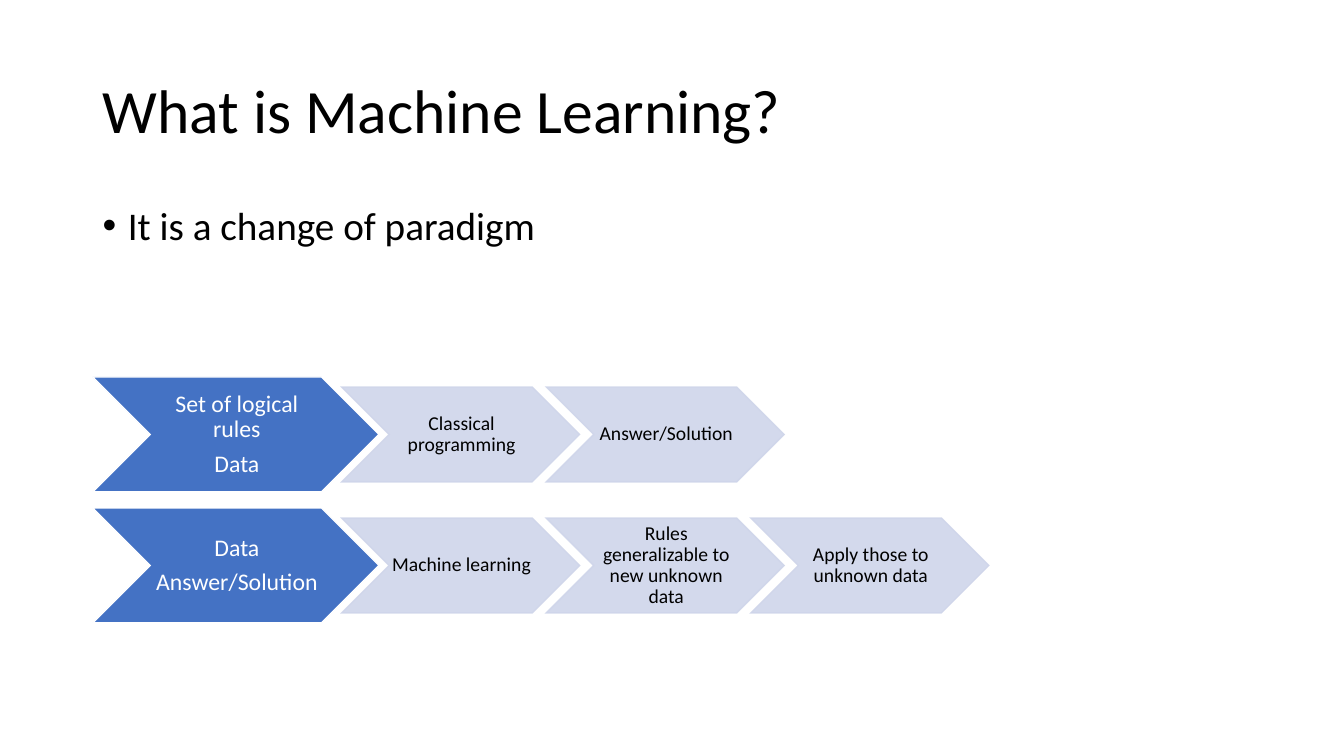
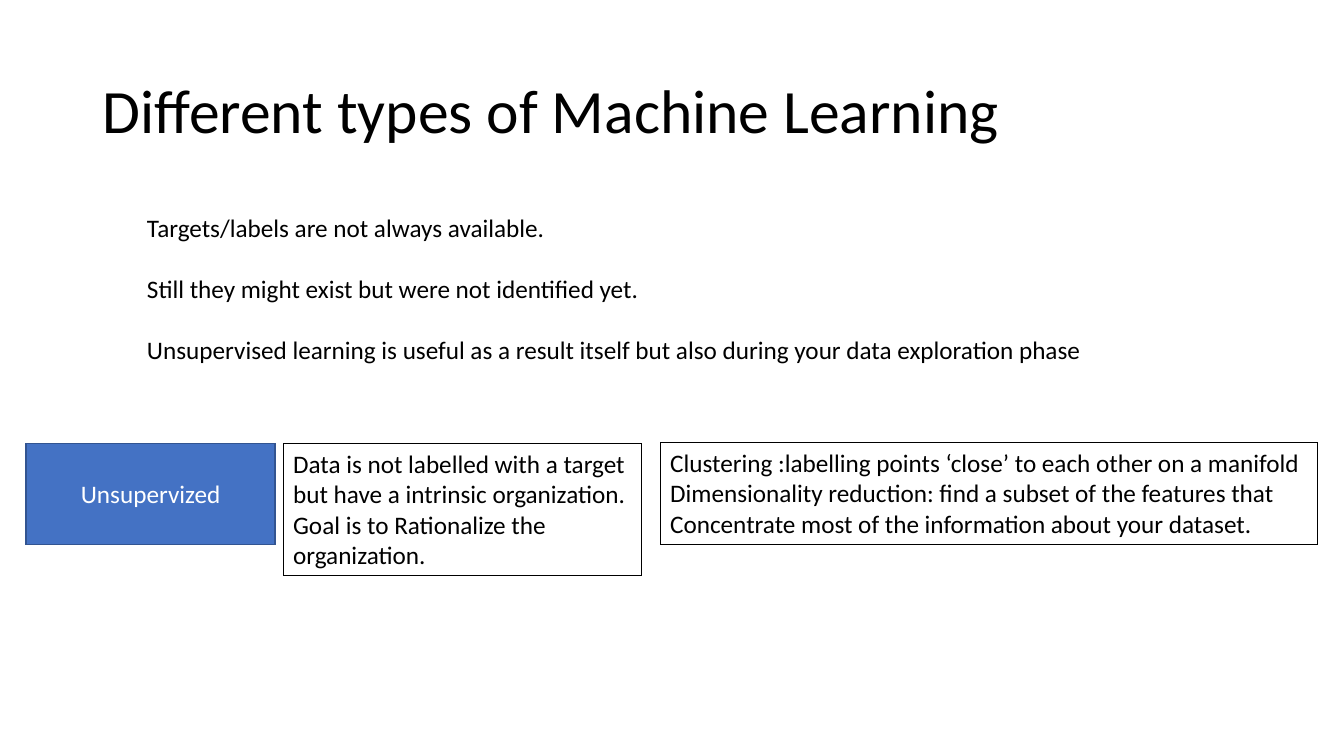
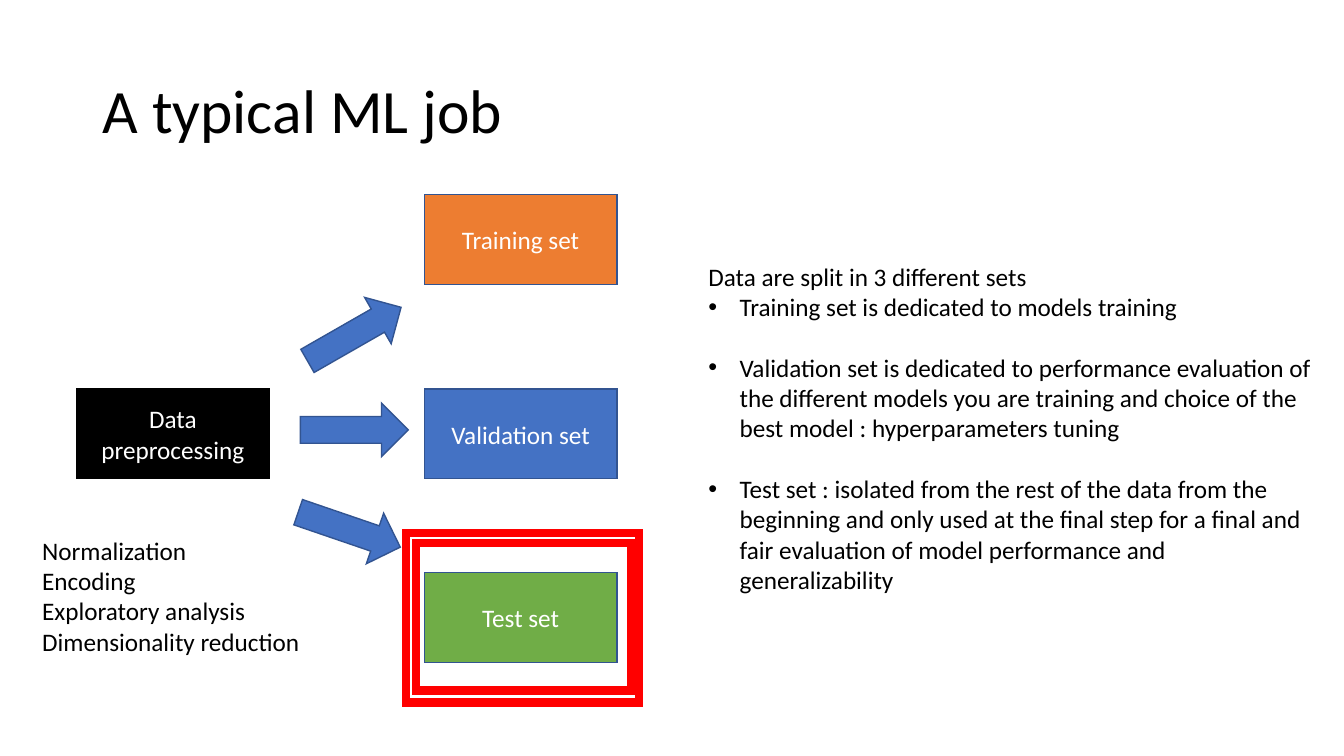
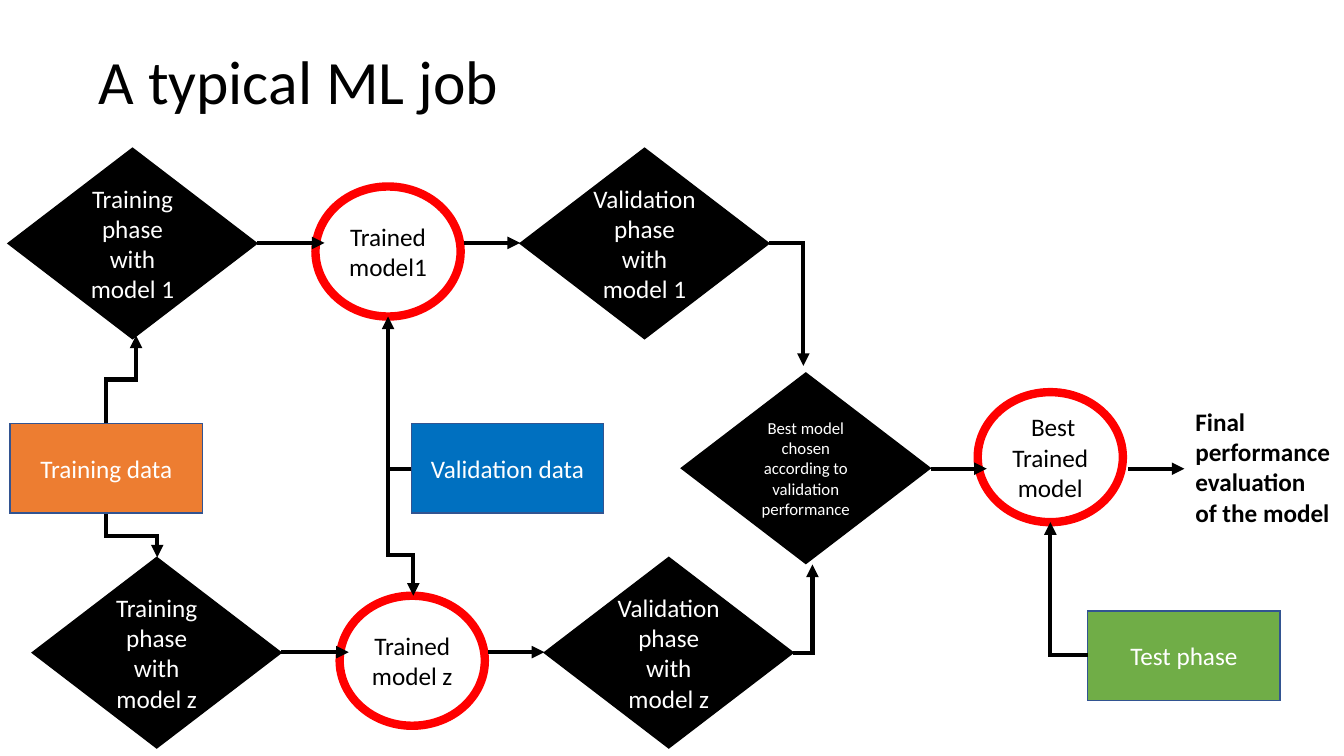
"""Build four slides that introduce machine learning and a typical workflow."""
from dataclasses import dataclass
from typing import Any, Optional

from lxml import etree
from pptx import Presentation
from pptx.dml.color import RGBColor
from pptx.enum.shapes import MSO_CONNECTOR, MSO_SHAPE
from pptx.enum.text import MSO_ANCHOR, PP_ALIGN
from pptx.oxml.ns import qn
from pptx.slide import Slide
from pptx.util import Emu, Pt

STRAIGHT, ELBOW = MSO_CONNECTOR.STRAIGHT, MSO_CONNECTOR.ELBOW
RECTANGLE = MSO_SHAPE.RECTANGLE
CHEVRON = MSO_SHAPE.CHEVRON
DIAMOND = MSO_SHAPE.DIAMOND
ELLIPSE = MSO_SHAPE.OVAL
ARROW = MSO_SHAPE.RIGHT_ARROW
LEFT, CENTER = PP_ALIGN.LEFT, PP_ALIGN.CENTER
TOP, MIDDLE = MSO_ANCHOR.TOP, MSO_ANCHOR.MIDDLE
SIDE_TOP, SIDE_LEFT, SIDE_BOTTOM, SIDE_RIGHT = 0, 1, 2, 3
ELLIPSE_BOTTOM = 4
EMU_PER_PX = 9144


@dataclass(frozen=True)
class Theme:
    """Colours, font and type sizes that the slides share."""
    font: str = "Calibri"
    black: str = "000000"
    white: str = "FFFFFF"
    blue: str = "4472C4"
    outline: str = "325491"
    pale: str = "CFD5EA"
    orange: str = "ED7D31"
    green: str = "70AD47"
    bright_blue: str = "0070C0"
    red: str = "FF0000"
    title: int = 44
    bullet: int = 28
    lead: int = 17
    step: int = 14
    body: int = 18
    small: int = 12
    blank_line: float = 21.9


THEME = Theme()


@dataclass(frozen=True)
class Box:
    """A place on the slide in px."""
    left: int
    top: int
    width: int
    height: int

    def emu(self) -> tuple[Emu, ...]:
        """Return left, top, width and height in EMU."""
        return tuple(px(n) for n in (self.left, self.top, self.width, self.height))


@dataclass(frozen=True)
class Node:
    """A labelled shape of a diagram."""
    text: str
    box: Box
    fill: str
    kind: Any = RECTANGLE
    line: str = THEME.outline
    weight: float = 1
    color: str = THEME.white
    size: int = THEME.body


@dataclass(frozen=True)
class Elbow:
    """A bent arrow from the side of one node, perhaps to the side of another."""
    begin: tuple[int, int]
    end: tuple[int, int]
    start: str
    side: int
    target: Optional[str] = None
    target_side: int = SIDE_TOP
    preset: str = "bentConnector2"
    rotation: int = 0
    flip: str = ""
    adjust: tuple[int, ...] = ()


TITLE_BOX = Box(92, 40, 1150, 145)


def px(length: int) -> Emu:
    """Turn px into EMU."""
    return Emu(length * EMU_PER_PX)


def rgb(color: str) -> RGBColor:
    """Turn a hex string into a colour."""
    return RGBColor.from_string(color)


def write(shape: Any, text: str, *, size: float = THEME.body, color: str = THEME.black,
          bold: bool = False, align: Any = LEFT, spacing: float = 1.0, before: float = 0,
          after: float = 0, indent: int = 0) -> None:
    """Add each line of the text as a paragraph, with a bullet if indented."""
    frame = shape.text_frame
    for line in text.split("\n"):
        para = frame.add_paragraph() if frame.text else frame.paragraphs[0]
        para.alignment = align
        para.line_spacing = spacing
        para.space_before, para.space_after = Pt(before), Pt(after)
        if indent:
            properties = para._p.get_or_add_pPr()
            properties.set("marL", str(px(indent)))
            properties.set("indent", str(px(-indent)))
            etree.SubElement(properties, qn("a:buFont"), typeface="Arial")
            etree.SubElement(properties, qn("a:buChar"), char="•")
        span = para.add_run()
        span.text = line
        span.font.name, span.font.size, span.font.bold = THEME.font, Pt(size), bold
        span.font.color.rgb = rgb(color)


def add_text_box(page: Slide, box: Box, *, anchor: Any = TOP, wrap: bool = True) -> Any:
    """Add an empty text box."""
    shape = page.shapes.add_textbox(*box.emu())
    shape.text_frame.word_wrap = wrap
    shape.text_frame.vertical_anchor = anchor
    return shape


def add_shape(page: Slide, kind: Any, box: Box, *, fill: Optional[str] = None,
              line: str = THEME.outline, weight: float = 1, anchor: Any = MIDDLE,
              wrap: bool = True, rotation: float = 0, opacity: int = 100) -> Any:
    """Add a preset shape with sharp corners and no shadow."""
    shape = page.shapes.add_shape(kind, *box.emu())
    shape.shadow.inherit = False
    shape.rotation = rotation
    if fill:
        shape.fill.solid()
        shape.fill.fore_color.rgb = rgb(fill)
    else:
        shape.fill.background()
    shape.line.color.rgb = rgb(line)
    shape.line.width = Pt(weight)
    properties = shape.element.spPr
    etree.SubElement(properties.find(qn("a:ln")), qn("a:miter"), lim="800000")
    if opacity < 100:
        for color in list(properties.iter(qn("a:srgbClr"))):
            etree.SubElement(color, qn("a:alpha"), val=str(opacity * 1000))
    shape.text_frame.word_wrap = wrap
    shape.text_frame.vertical_anchor = anchor
    return shape


def add_node(page: Slide, node: Node) -> Any:
    """Draw a node with its centred label."""
    shape = add_shape(page, node.kind, node.box, fill=node.fill, line=node.line,
                      weight=node.weight)
    write(shape, node.text, size=node.size, color=node.color, align=CENTER)
    return shape


def add_arrow(page: Slide, kind: Any, begin: tuple[int, int], end: tuple[int, int]) -> Any:
    """Add a black connector with an arrowhead at its end."""
    arrow = page.shapes.add_connector(kind, *(px(n) for n in begin + end))
    arrow.line.color.rgb = rgb(THEME.black)
    arrow.line.width = Pt(3)
    properties = arrow.element.spPr
    outline = properties.find(qn("a:ln"))
    etree.SubElement(outline, qn("a:miter"), lim="800000")
    etree.SubElement(outline, qn("a:tailEnd"), type="triangle")
    etree.SubElement(properties, qn("a:effectLst"))
    return arrow


def add_elbow(page: Slide, elbow: Elbow, nodes: dict[str, Any]) -> None:
    """Add a bent arrow, join it to its nodes and set its bends."""
    arrow = add_arrow(page, ELBOW, elbow.begin, elbow.end)
    arrow.begin_connect(nodes[elbow.start], elbow.side)
    if elbow.target:
        arrow.end_connect(nodes[elbow.target], SIDE_TOP)
        next(arrow.element.iter(qn("a:endCxn"))).set("idx", str(elbow.target_side))
    (left, right), (top, bottom) = (sorted(pair) for pair in zip(elbow.begin, elbow.end))
    width, height = px(right - left), px(bottom - top)
    if elbow.rotation % 180:
        width, height = height, width
    arrow.left = Emu((px(left + right) - width) // 2)
    arrow.top = Emu((px(top + bottom) - height) // 2)
    arrow.width, arrow.height = width, height
    properties = arrow.element.spPr
    frame = properties.find(qn("a:xfrm"))
    frame.set("rot", str(elbow.rotation * 60000))
    for axis in "HV":
        frame.set(f"flip{axis}", "1" if axis in elbow.flip else "0")
    geometry = properties.find(qn("a:prstGeom"))
    geometry.set("prst", elbow.preset)
    guides = geometry.find(qn("a:avLst"))
    for number, value in enumerate(elbow.adjust, start=1):
        etree.SubElement(guides, qn("a:gd"), name=f"adj{number}", fmla=f"val {value}")


def add_page(deck: Any, title: str, box: Box = TITLE_BOX) -> Slide:
    """Add a blank slide with a title."""
    page = deck.slides.add_slide(deck.slide_layouts[6])
    write(add_text_box(page, box, anchor=MIDDLE), title, size=THEME.title, spacing=0.9)
    return page


def add_chevron(page: Slide, text: str, box: Box, *, lead: bool) -> None:
    """Add one step of a chevron row."""
    shape = add_shape(page, CHEVRON, box, fill=THEME.blue if lead else THEME.pale,
                      line=THEME.white if lead else THEME.pale, opacity=100 if lead else 90)
    frame = shape.text_frame
    frame.margin_left, frame.margin_right = px(2), px(0)
    frame.margin_top = frame.margin_bottom = px(1)
    write(shape, text, size=THEME.lead if lead else THEME.step,
          color=THEME.white if lead else THEME.black, align=CENTER, spacing=0.9, after=6)


def build_paradigm(deck: Any) -> None:
    """Compare classical programming with machine learning."""
    page = add_page(deck, "What is Machine Learning?")
    write(add_text_box(page, Box(92, 200, 1150, 476)), "It is a change of paradigm",
          size=THEME.bullet, spacing=0.9, before=10, indent=25)
    rows = (
        ("Set of logical rules\nData", "Classical programming", "Answer/Solution"),
        ("Data\nAnswer/Solution", "Machine learning",
         "Rules generalizable to new unknown data", "Apply those to unknown data"),
    )
    for row, (lead, *steps) in enumerate(rows):
        top = 374 + 130 * row
        add_chevron(page, lead, Box(92, top, 284, 114), lead=True)
        for column, step in enumerate(steps):
            add_chevron(page, step, Box(339 + 203 * column, top + 10, 236, 94), lead=False)


def build_types(deck: Any) -> None:
    """Explain unsupervised learning."""
    page = add_page(deck, "Different types of Machine Learning")
    add_node(page, Node("Unsupervized", Box(26, 440, 247, 100), THEME.blue))
    definition = add_shape(page, RECTANGLE, Box(281, 440, 356, 131), line=THEME.black,
                           weight=0.75, anchor=TOP)
    write(definition, "Data is not labelled with a target\n"
                      "but have a intrinsic organization.\n"
                      "Goal is to Rationalize the organization.")
    methods = add_shape(page, RECTANGLE, Box(655, 439, 652, 101), line=THEME.black,
                        weight=0.75, anchor=TOP, wrap=False)
    write(methods, "Clustering :labelling points ‘close’ to each other on a manifold\n"
                   "Dimensionality reduction: find a subset of the features that\n"
                   "Concentrate most of the information about your dataset.")
    remarks = add_text_box(page, Box(136, 206, 958, 162), wrap=False)
    write(remarks, "Targets/labels are not always available.\n"
                   "Still they might exist but were not identified yet.\n"
                   "Unsupervised learning is useful as a result itself but also during "
                   "your data exploration phase", after=THEME.blank_line)


def build_split(deck: Any) -> None:
    """Show how the data are split in three sets."""
    page = add_page(deck, "A typical ML job")
    nodes = (
        Node("Data preprocessing", Box(76, 386, 191, 89), THEME.black, line=THEME.black),
        Node("Training set", Box(421, 193, 191, 89), THEME.orange),
        Node("Validation set", Box(421, 386, 191, 89), THEME.blue),
        Node("Test set", Box(421, 568, 191, 89), THEME.green),
    )
    for node in nodes:
        add_node(page, node)
    tasks = add_text_box(page, Box(32, 526, 278, 131), wrap=False)
    write(tasks, "Normalization\nEncoding\nExploratory analysis\nDimensionality reduction")
    for left, top, rotation in ((298, 305, 330.2), (298, 400, 0), (293, 499, 18.9)):
        add_shape(page, ARROW, Box(left, top, 107, 53), fill=THEME.blue, rotation=rotation)
    for frame in (Box(403, 529, 231, 168), Box(413, 539, 213, 146)):
        add_shape(page, RECTANGLE, frame, line=THEME.red, weight=6)
    sets = add_text_box(page, Box(693, 254, 620, 343))
    write(sets, "Data are split in 3 different sets")
    write(sets, "Training set is dedicated to models training\n"
                "Validation set is dedicated to performance evaluation of the different "
                "models you are training and choice of the best model : "
                "hyperparameters tuning\n"
                "Test set : isolated from the rest of the data from the beginning and only "
                "used at the final step for a final and fair evaluation of model "
                "performance and generalizability", after=THEME.blank_line, indent=31)


def phase(text: str, left: int, top: int, size: int = THEME.body) -> Node:
    """Describe a black diamond."""
    return Node(text, Box(left, top, 247, 189), THEME.black, DIAMOND, THEME.black, size=size)


def model(text: str, left: int, top: int) -> Node:
    """Describe a red ring."""
    return Node(text, Box(left, top, 144, 129), THEME.white, ELLIPSE, THEME.red, 6, THEME.black)


def build_workflow(deck: Any) -> None:
    """Show the path from training data to the final evaluation."""
    page = add_page(deck, "A typical ML job", Box(88, 11, 1150, 145))
    nodes = [
        Node("Test phase", Box(1079, 606, 191, 89), THEME.green),
        Node("Training data", Box(10, 420, 191, 89), THEME.orange),
        Node("Validation data", Box(408, 420, 191, 89), THEME.bright_blue),
        model(" Best Trained model", 970, 389),
        phase("Best model chosen according to validation\nperformance", 676, 370, THEME.small),
    ]
    elbows = (
        Elbow((408, 465), (385, 314), "Validation data", SIDE_LEFT,
              "Trained model1", ELLIPSE_BOTTOM, rotation=180),
        Elbow((408, 465), (410, 591), "Validation data", SIDE_LEFT, "Trained model z",
              preset="bentConnector4", rotation=180, flip="HV", adjust=(-1150000, 67700)),
        Elbow((105, 420), (135, 333), "Training data", SIDE_TOP,
              preset="bentConnector3", rotation=90, flip="HV", adjust=(50000,)),
        Elbow((105, 510), (156, 553), "Training data", SIDE_BOTTOM,
              "Training phase with model z", preset="bentConnector3", rotation=270, flip="H",
              adjust=(50000,)),
        Elbow((1079, 650), (1042, 518), "Test phase", SIDE_LEFT,
              " Best Trained model", ELLIPSE_BOTTOM, rotation=180),
        Elbow((763, 241), (797, 363), "Validation phase with model 1", SIDE_RIGHT),
        Elbow((787, 648), (806, 560), "Validation phase with model z", SIDE_RIGHT, flip="V"),
    )
    arrows = [((924, 465), (979, 465)), ((1119, 465), (1175, 465))]
    for training, trained, left, top in (("model 1", "model1", 8, 147),
                                         ("model z", "model z", 32, 553)):
        nodes += [phase(f"Training phase with {training}", left, top),
                  model(f"Trained {trained}", left + 305, top + 38),
                  phase(f"Validation phase with {training}", left + 508, top)]
        middle = top + 94
        arrows += [((left + 247, middle), (left + 314, middle)),
                   ((left + 452, middle), (left + 508, middle))]
    shapes = {node.text: add_node(page, node) for node in nodes}
    for begin, end in arrows:
        add_arrow(page, STRAIGHT, begin, end)
    for elbow in elbows:
        add_elbow(page, elbow, shapes)
    outcome = add_text_box(page, Box(1176, 398, 161, 131), wrap=False)
    write(outcome, "Final\nperformance\nevaluation\nof the model", bold=True)


def main() -> None:
    """Build and save the deck."""
    deck = Presentation()
    deck.slide_width, deck.slide_height = Emu(12192000), px(750)
    for build in (build_paradigm, build_types, build_split, build_workflow):
        build(deck)
    deck.save("out.pptx")


if __name__ == "__main__":
    main()
